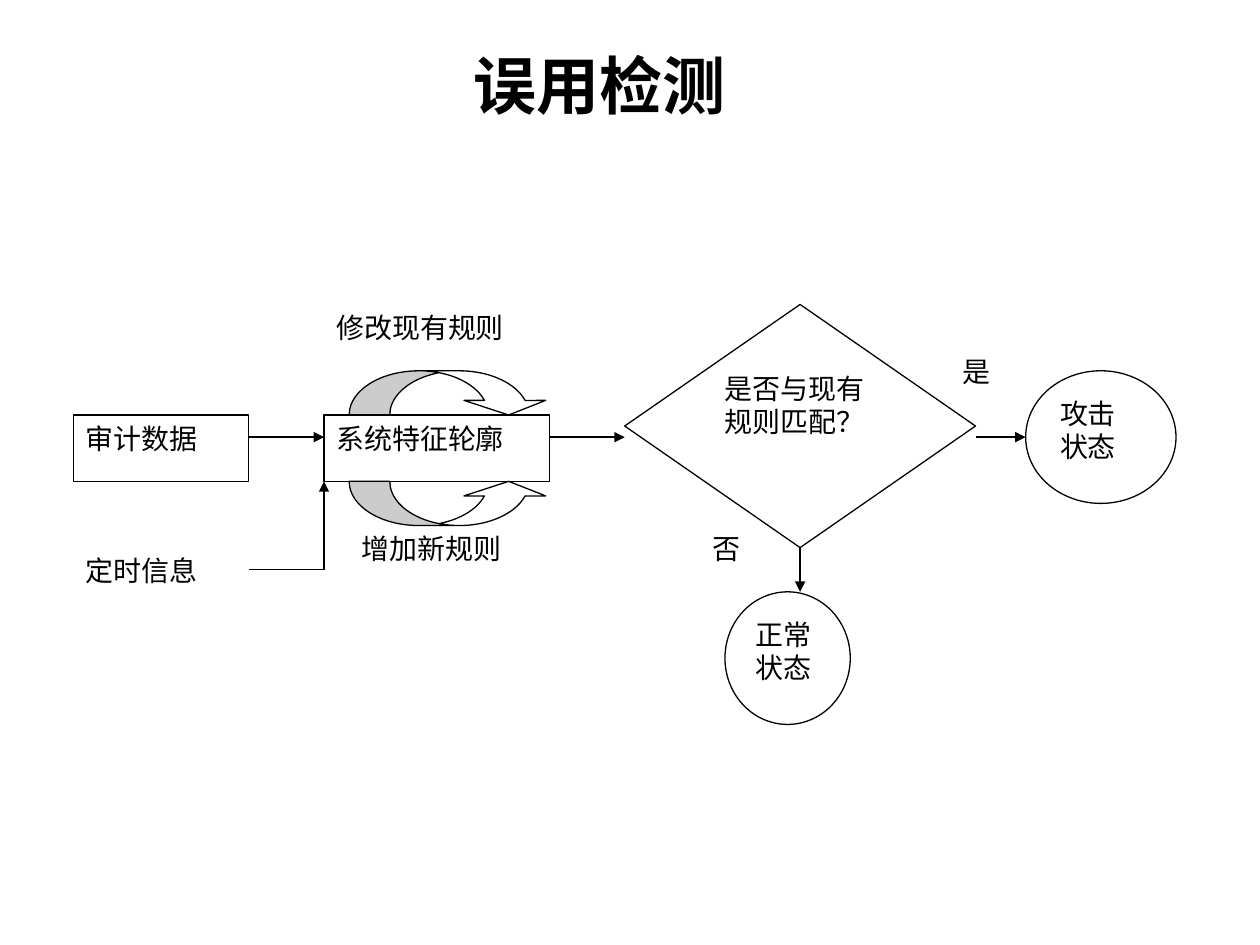
from dataclasses import dataclass

from lxml import etree
from pptx import Presentation
from pptx.dml.color import RGBColor
from pptx.enum.shapes import MSO_CONNECTOR, MSO_SHAPE
from pptx.enum.text import MSO_ANCHOR, PP_ALIGN
from pptx.oxml.ns import qn
from pptx.util import Pt

RECT = MSO_SHAPE.RECTANGLE
OVAL = MSO_SHAPE.OVAL
DECISION = MSO_SHAPE.FLOWCHART_DECISION
CURVED_DOWN = MSO_SHAPE.CURVED_DOWN_ARROW
CURVED_UP = MSO_SHAPE.CURVED_UP_ARROW
STRAIGHT = MSO_CONNECTOR.STRAIGHT
LEFT, CENTER = PP_ALIGN.LEFT, PP_ALIGN.CENTER
TOP, MIDDLE = MSO_ANCHOR.TOP, MSO_ANCHOR.MIDDLE
BOTTOM_SITE = 2


@dataclass(frozen=True)
class Theme:
    ink: RGBColor = RGBColor(0, 0, 0)
    paper: RGBColor = RGBColor(255, 255, 255)
    title_font: str = "Calibri"
    body_font: str = "Times New Roman"
    title_size: int = 36
    body_size: int = 16
    line_width: float = 0.75


THEME = Theme()
GRID_COLS, GRID_ROWS = 44, 19


def set_text(sp, text, font, size, bold=False, align=LEFT, anchor=TOP):
    tf = sp.text_frame
    tf.text = text
    tf.word_wrap = True
    tf.vertical_anchor = anchor
    p = tf.paragraphs[0]
    p.alignment = align
    r = p.runs[0]
    r.font.name, r.font.size, r.font.bold = font, Pt(size), bold
    r.font.color.rgb = THEME.ink


def add_title(slide, box, text):
    sp = slide.shapes.add_textbox(*(Pt(v) for v in box))
    set_text(sp, text, THEME.title_font, THEME.title_size, True, CENTER, MIDDLE)


def add_flowchart(slide, box):
    """Lay the flowchart out on a grid of 44 columns and 19 rows in box."""
    left, top, width, height = box
    col, row = width / GRID_COLS, height / GRID_ROWS

    def at(x, y):
        return Pt(left + x * col), Pt(top + y * row)

    def node(kind, x, y, w, h, text="", outline=THEME.ink):
        sp = slide.shapes.add_shape(kind, *at(x, y), Pt(w * col), Pt(h * row))
        sp.shadow.inherit = False
        sp.fill.solid()
        sp.fill.fore_color.rgb = THEME.paper
        sp.line.color.rgb = outline
        sp.line.width = Pt(THEME.line_width)
        if text:
            set_text(sp, text, THEME.body_font, THEME.body_size)
        return sp

    def label(x, y, w, text):
        node(RECT, x, y, w, 3, text, THEME.paper)

    def loop_arrow(kind, y):
        sp = node(kind, 11, y, 8, 2)
        for i, value in enumerate((0.92, 1.85, 0.33)):
            sp.adjustments[i] = value

    def line(x1, y1, x2, y2, arrow=True):
        cx = slide.shapes.add_connector(STRAIGHT, *at(x1, y1), *at(x2, y2))
        cx.line.color.rgb = THEME.ink
        cx.line.width = Pt(THEME.line_width)
        if arrow:
            ln = cx.line._get_or_add_ln()
            etree.SubElement(ln, qn("a:tailEnd"), type="triangle")
        etree.SubElement(cx._element.spPr, qn("a:effectLst"))
        return cx

    label(25, 10, 3, "否")
    label(35, 2, 3, "是")
    label(11, 10, 8, "增加新规则")
    label(10, 0, 10, "修改现有规则")

    node(RECT, 0, 5, 7, 3, "审计数据")
    loop_arrow(CURVED_DOWN, 3)
    node(RECT, 10, 5, 9, 3, "系统特征轮廓")
    line(7, 6, 10, 6)
    line(19, 6, 22, 6)
    loop_arrow(CURVED_UP, 8)

    line(6, 12, 10, 12, arrow=False)
    line(10, 12, 10, 8)
    label(0, 11, 7, "定时信息")

    decision = node(DECISION, 22, 0, 14, 11, "是否与现有规则匹配？")
    line(36, 6, 38, 6)
    node(OVAL, 38, 3, 6, 6, "攻击状态")
    line(29, 11, 29, 13).begin_connect(decision, BOTTOM_SITE)
    node(OVAL, 26, 13, 5, 6, "正常状态")


def main():
    prs = Presentation()
    prs.slide_width, prs.slide_height = Pt(720), Pt(540)
    slide = prs.slides.add_slide(prs.slide_layouts[6])
    add_flowchart(slide, (42, 174, 630, 240))
    add_title(slide, (90, 17.5, 505, 61), "误用检测")
    prs.save("out.pptx")


if __name__ == "__main__":
    main()
